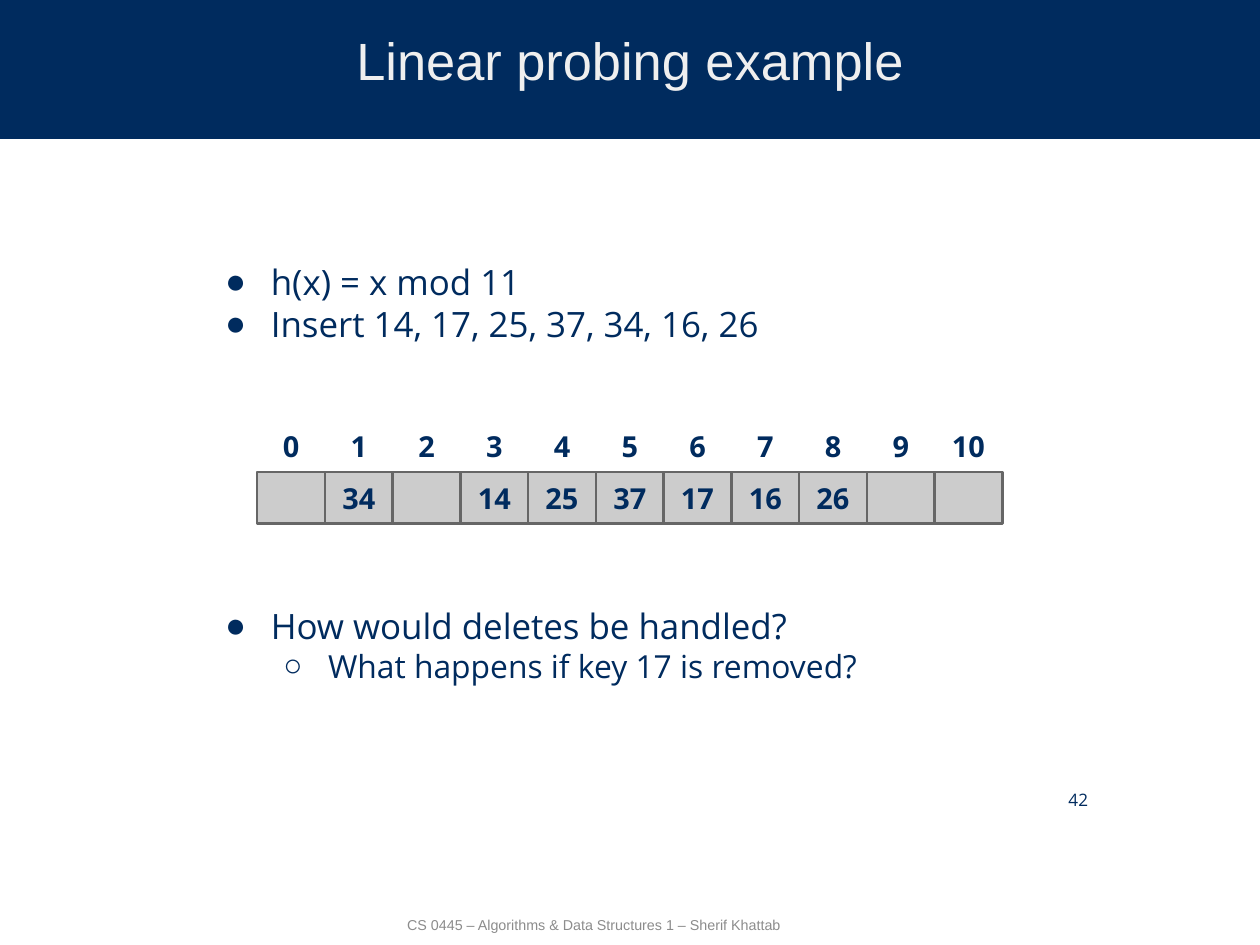
from pptx import Presentation
from pptx.dml.color import RGBColor
from pptx.enum.shapes import MSO_SHAPE as Shape
from pptx.enum.text import MSO_ANCHOR as Anchor, MSO_AUTO_SIZE as AutoSize, PP_ALIGN as Align
from pptx.oxml import parse_xml
from pptx.oxml.ns import nsdecls
from pptx.util import Inches, Pt

# Page of 28 by 21 centimetres, in inches
WIDTH, HEIGHT = 28 / 2.54, 21 / 2.54
NAVY, PALE, GRAY, EDGE, FOOT = "002B5E", "EFEFEF", "CCCCCC", "666666", "8C8C8C"
BODY_FONT, PLAIN_FONT = "Open Sans", "Arial"
CELL_TEXT = {"size": Pt(18.2), "name": BODY_FONT, "bold": True}
# Marker, left margin, hanging indent and text size of each level
LEVELS = [("●", 0.5, -0.4, 22), ("○", 1, -0.39, 20)]


def color(value):
    return RGBColor.from_string(value)


def format_font(font, values, fill):
    for name, value in values.items():
        setattr(font, name, value)
    font.color.rgb = color(fill)


def format_frame(shape, anchor, inset=0.08):
    frame = shape.text_frame
    values = {"word_wrap": True, "auto_size": AutoSize.NONE, "vertical_anchor": anchor}
    for side in ("left", "top", "right", "bottom"):
        values["margin_" + side] = Inches(inset)
    for name, value in values.items():
        setattr(frame, name, value)
    return frame


def write_line(shape, text, values, fill, align=Align.CENTER, anchor=Anchor.MIDDLE):
    para = format_frame(shape, anchor).paragraphs[0]
    para.text = text
    para.alignment = align
    format_font(para.font, values, fill)


def add_label(page, box, *args, **options):
    label = page.shapes.add_textbox(*map(Inches, box))
    write_line(label, *args, **options)


def add_rectangle(page, box, fill, edge):
    shape = page.shapes.add_shape(Shape.RECTANGLE, *map(Inches, box))
    shape.shadow.inherit = False
    shape.fill.solid()
    shape.fill.fore_color.rgb = color(fill)
    shape.line.color.rgb = color(edge)
    shape.line.width = Pt(1.5)
    return shape


def add_header(page, box, text):
    left, top, width, height = box
    band = add_rectangle(page, box, NAVY, NAVY)
    title = page.shapes.title
    title._element.addprevious(band._element)  # band lies behind the title
    title.left, title.top = Inches(left + 1.79), Inches(top + 0.33)
    title.width, title.height = Inches(width - 3.58), Inches(0.55)
    write_line(title, text, {"size": Pt(33), "name": PLAIN_FONT}, PALE, anchor=Anchor.BOTTOM)


def add_bullets(page, box, items):
    frame = format_frame(page.shapes.add_textbox(*map(Inches, box)), Anchor.TOP)
    for index, (level, text) in enumerate(items):
        para = frame.add_paragraph() if index else frame.paragraphs[0]
        para.text = text
        para.level = level
        marker, margin, indent, size = LEVELS[level]
        properties = para._p.get_or_add_pPr()
        properties.set("marL", str(Inches(margin)))
        properties.set("indent", str(Inches(indent)))
        for element in (
            f'<a:buClr {nsdecls("a")}><a:srgbClr val="{NAVY}"/></a:buClr>',
            f'<a:buFont {nsdecls("a")} typeface="{PLAIN_FONT}"/>',
            f'<a:buChar {nsdecls("a")} char="{marker}"/>',
        ):
            properties.append(parse_xml(element))
        format_font(para.font, {"size": Pt(size), "name": BODY_FONT}, NAVY)


def add_hash_table(page, box, slots, keys):
    left, top, width, height = box
    step, row = width / slots, height / 2
    for slot in range(slots):
        x = left + slot * step
        add_label(page, (x, top, step, row), str(slot), CELL_TEXT, NAVY)
        cell = add_rectangle(page, (x, top + row, step, row), GRAY, EDGE)
        if slot in keys:
            write_line(cell, str(keys[slot]), CELL_TEXT, NAVY)


def add_footer(page, box, text, number):
    left, top, width, height = box
    add_label(page, (left + width - 0.5, top, 0.5, 0.47), number,
              {"size": Pt(10.8), "name": BODY_FONT}, NAVY, align=Align.RIGHT)
    add_label(page, (left + 0.89, top + height - 0.44, 5.03, 0.44), text,
              {"size": Pt(9), "name": PLAIN_FONT}, FOOT)


def main():
    deck = Presentation()
    deck.slide_width, deck.slide_height = Inches(WIDTH), Inches(HEIGHT)
    page = deck.slides.add_slide(deck.slide_layouts[5])

    # Title band
    add_header(page, (0, 0, WIDTH, 1.21), "Linear probing example")
    # Hash function and inserted keys
    add_bullets(page, (1.79, 2.2, 7.44, 0.93),
                [(0, "h(x) = x mod 11"), (0, "Insert 14, 17, 25, 37, 34, 16, 26")])
    # Table after all insertions
    add_hash_table(page, (2.25, 3.68, 6.52, 0.9), 11,
                   {1: 34, 3: 14, 4: 25, 5: 37, 6: 17, 7: 16, 8: 26})
    # Question on deletion
    add_bullets(page, (1.79, 5.21, 7.44, 0.93),
                [(0, "How would deletes be handled?"), (1, "What happens if key 17 is removed?")])
    # Page number and course line
    add_footer(page, (1.79, 6.76, 7.81, 1.55),
               "CS 0445 – Algorithms & Data Structures 1 – Sherif Khattab", "42")
    deck.save("out.pptx")


if __name__ == "__main__":
    main()
